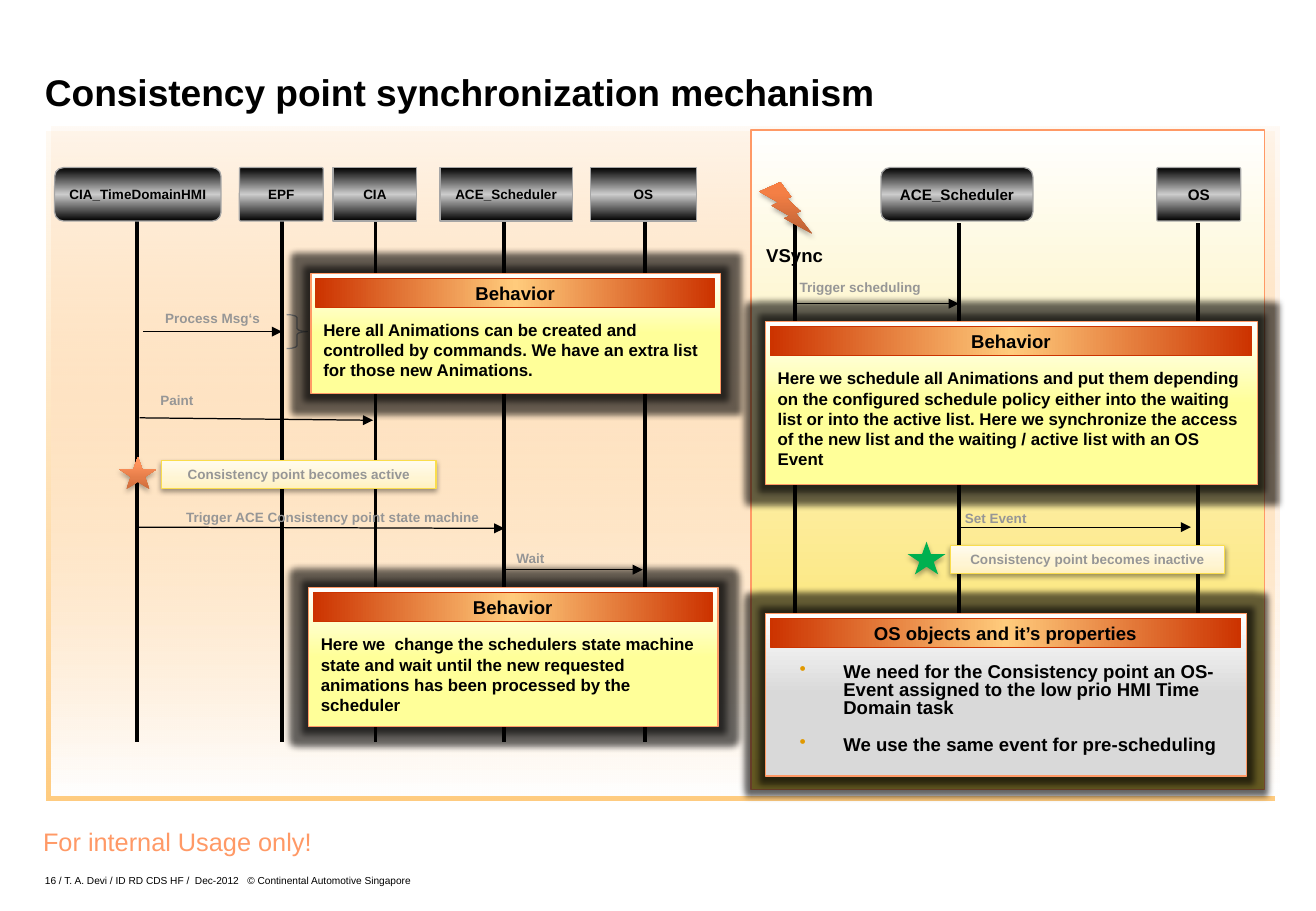
"""Build the slide on the consistency point synchronization mechanism."""
from dataclasses import dataclass

from lxml.etree import SubElement
from pptx import Presentation
from pptx.dml.color import RGBColor
from pptx.enum.shapes import MSO_CONNECTOR, MSO_SHAPE
from pptx.enum.text import MSO_ANCHOR, PP_ALIGN
from pptx.oxml import parse_xml
from pptx.oxml.ns import nsdecls, qn
from pptx.util import Emu, Pt

PX = 9144


@dataclass(frozen=True)
class Theme:
    font: str = "Arial"
    black: str = "000000"
    gray: str = "969696"
    orange: str = "FF9966"
    bullet: str = "E19900"
    green: str = "00B050"
    head_line: str = "A6A6A6"
    note_line: str = "FADD4D"
    bar_line: str = "CC3300"
    backdrop: tuple = ((0, "FFCC99", 10), (100, "FFFFFF", 100))
    panel: tuple = ((0, "FFFFFF", 100), (100, "FBDF53", 100))
    head: tuple = ((0, "000000", 100), (50, "CCCCCC", 100), (100, "000000", 100))
    note: tuple = ((0, "FFF1C1", 100), (35, "FFF5D3", 100), (100, "FFFBEE", 100))
    star: tuple = ((0, "CF6C3B", 100), (80, "FF925B", 100), (100, "FF935D", 100))
    bolt: tuple = ((0, "BC6235", 100), (80, "F47F45", 100), (100, "F97E42", 100))
    yellow_box: tuple = ((0, "FFFFFF", 100), (50, "FFFF99", 100))
    gray_box: tuple = ((0, "FFFFFF", 100), (50, "D9D9D9", 100))
    bar: tuple = ((0, "CC3300", 100), (50, "FFCB7C", 100), (100, "CC3300", 100))
    backdrop_shadow: tuple = ("FF9900", 50, 0, 4.2, 135)
    icon_shadow: tuple = ("000000", 35, 3.1, 1.8, 90)
    note_shadow: tuple = ("000000", 38, 3.1, 1.6, 90)
    title_size: float = 22
    usage_size: float = 15
    heading_size: float = 11
    body_size: float = 10
    head_size: float = 9
    label_size: float = 8
    footer_size: float = 6


theme = Theme()
presentation = Presentation()
presentation.slide_width, presentation.slide_height = Emu(1083 * PX), Emu(750 * PX)
slide = presentation.slides.add_slide(presentation.slide_layouts[6])


def add_box(kind, box, fill=None, angle=90, line=None, shadow=None, glow=False, corner=None):
    shape = slide.shapes.add_shape(kind, *[Emu(length * PX) for length in box])
    shape.shadow.inherit = False
    properties = shape.element.spPr
    if corner is not None:
        shape.adjustments[0] = corner
    if isinstance(fill, str):
        shape.fill.solid()
        shape.fill.fore_color.rgb = RGBColor.from_string(fill)
    else:
        shape.fill.background()
    if isinstance(fill, tuple):
        stops = "".join(
            f'<a:gs pos="{place * 1000}"><a:srgbClr val="{color}">'
            f'<a:alpha val="{alpha * 1000}"/></a:srgbClr></a:gs>'
            for place, color, alpha in fill)
        gradient = parse_xml(
            f'<a:gradFill {nsdecls("a")} rotWithShape="1"><a:gsLst>{stops}</a:gsLst>'
            f'<a:lin ang="{angle * 60000}" scaled="0"/></a:gradFill>')
        properties.replace(properties.find(qn("a:noFill")), gradient)
    if line:
        shape.line.color.rgb = RGBColor.from_string(line)
        shape.line.width = Pt(0.75)
    else:
        shape.line.fill.background()
    effects = properties.find(qn("a:effectLst"))
    if shadow:
        color, alpha, blur, distance, direction = shadow
        effects.append(parse_xml(
            f'<a:outerShdw {nsdecls("a")} blurRad="{Pt(blur)}" dist="{Pt(distance)}" '
            f'dir="{direction * 60000}" algn="ctr" rotWithShape="0"><a:srgbClr val="{color}">'
            f'<a:alpha val="{alpha * 1000}"/></a:srgbClr></a:outerShdw>'))
    if glow:
        effects.append(parse_xml(
            f'<a:glow {nsdecls("a")} rad="{Pt(8)}"><a:srgbClr val="{theme.black}">'
            f'<a:alpha val="60000"/></a:srgbClr></a:glow>'))
    return shape


def write_text(text, box=None, shape=None, size=theme.label_size, color=theme.black, bold=True,
               align=PP_ALIGN.LEFT, anchor=MSO_ANCHOR.TOP, inset=(9, 5), wrap=True,
               spacing=None, bullet=False):
    if shape is None:
        shape = slide.shapes.add_textbox(*[Emu(length * PX) for length in box])
    frame = shape.text_frame
    frame.word_wrap = wrap
    frame.vertical_anchor = anchor
    frame.margin_left = frame.margin_right = Emu(inset[0] * PX)
    frame.margin_top = frame.margin_bottom = Emu(inset[1] * PX)
    for index, content in enumerate(text.split("\n")):
        paragraph = frame.add_paragraph() if index else frame.paragraphs[0]
        if bullet:
            properties = paragraph._p.get_or_add_pPr()
            properties.set("marL", str(54 * PX))
            properties.set("indent", str(-36 * PX))
            SubElement(SubElement(properties, qn("a:buClr")), qn("a:srgbClr"), val=theme.bullet)
            SubElement(properties, qn("a:buChar"), char="•")
        paragraph.alignment = align
        if spacing:
            paragraph.line_spacing = spacing
        if index:
            paragraph.space_before = Pt(11.5)
        run = paragraph.add_run()
        run.text = content
        run.font.name = theme.font
        run.font.size = Pt(size)
        run.font.bold = bold
        run.font.color.rgb = RGBColor.from_string(color)


add_box(MSO_SHAPE.RECTANGLE, (42, 104, 1011, 551), theme.backdrop, shadow=theme.backdrop_shadow)
write_text("For internal Usage only!", (25, 675, 242, 35), size=theme.usage_size,
           color=theme.orange, bold=False, align=PP_ALIGN.CENTER, wrap=False)
write_text("Consistency point synchronization mechanism", (37, 25, 1010, 69),
           size=theme.title_size, anchor=MSO_ANCHOR.BOTTOM, inset=(0, 0), spacing=Pt(24.8))
add_box(MSO_SHAPE.RECTANGLE, (618, 107, 423, 543), theme.panel, line=theme.orange)

lifelines = [(x, 182, x, 611, 2.25) for x in (113, 232, 309, 415, 531)]
lifelines += [(x, 184, x, 612, 2.25) for x in (654, 789, 986)]
messages = [
    (118, 273, 232, 273, 0.75), (115, 344, 307, 346, 0.75), (114, 434, 415, 435, 0.75),
    (416, 469, 529, 469, 0.75), (654, 250, 789, 250, 0.75), (790, 434, 980, 434, 0.75),
]
for *ends, width in lifelines + messages:
    connector = slide.shapes.add_connector(
        MSO_CONNECTOR.STRAIGHT, *[Emu(length * PX) for length in ends])
    connector.line.color.rgb = RGBColor.from_string(theme.black)
    connector.line.width = Pt(width)
    if width < 1:
        SubElement(connector.line._get_or_add_ln(), qn("a:tailEnd"), type="triangle")
    SubElement(connector.element.spPr, qn("a:effectLst"))

heads = [
    ("CIA_TimeDomainHMI", 45, 137, 0.167, theme.label_size),
    ("EPF", 197, 69, 0.025, theme.label_size),
    ("CIA", 274, 69, 0, theme.label_size),
    ("ACE_Scheduler", 362, 109, 0, theme.label_size),
    ("OS", 486, 87, 0, theme.label_size),
    ("ACE_Scheduler", 725, 125, 0.167, theme.head_size),
    ("OS", 952, 69, 0.025, theme.head_size),
]
for name, left, width, corner, size in heads:
    head = add_box(MSO_SHAPE.ROUNDED_RECTANGLE, (left, 138, width, 44), theme.head,
                   line=theme.head_line, corner=corner)
    write_text(name, shape=head, size=size, align=PP_ALIGN.CENTER,
               anchor=MSO_ANCHOR.MIDDLE, wrap=False)

labels = [
    ("Process Msg‘s", (125, 250, 100, 23), PP_ALIGN.CENTER),
    ("Paint", (123, 318, 131, 23), PP_ALIGN.LEFT),
    ("Trigger ACE Consistency point state machine", (119, 414, 310, 23), PP_ALIGN.CENTER),
    ("Wait", (416, 448, 131, 23), PP_ALIGN.LEFT),
    ("Trigger scheduling", (646, 225, 124, 23), PP_ALIGN.CENTER),
    ("Set Event", (785, 415, 72, 23), PP_ALIGN.LEFT),
]
for label, box, align in labels:
    write_text(label, box, color=theme.gray, align=align)
write_text("VSync", (621, 196, 66, 28), size=theme.heading_size,
           align=PP_ALIGN.CENTER, wrap=False)

add_box(MSO_SHAPE.RIGHT_BRACE, (236, 259, 17, 28), line=theme.gray, corner=0.145)
add_box(MSO_SHAPE.LIGHTNING_BOLT, (625, 150, 44, 43), theme.bolt, 270, shadow=theme.icon_shadow)
for state, left, top, star_fill in (("active", 98, 376, theme.star),
                                    ("inactive", 747, 446, theme.green)):
    add_box(MSO_SHAPE.STAR_5_POINT, (left, top, 31, 27), star_fill, 270, shadow=theme.icon_shadow)
    note = add_box(MSO_SHAPE.RECTANGLE, (left + 35, top + 3, 226, 23), theme.note, 270,
                   line=theme.note_line, shadow=theme.note_shadow)
    write_text(f"Consistency point becomes {state}", shape=note, color=theme.gray,
               align=PP_ALIGN.CENTER)

behaviors = [
    ("Behavior", (256, 225, 337, 99), 33,
     "Here all Animations can be created and controlled by commands. "
     "We have an extra list for those new Animations."),
    ("Behavior", (630, 265, 405, 134), 33,
     "Here we schedule all Animations and put them depending on the configured schedule "
     "policy either into the waiting list or into the active list. Here we synchronize the "
     "access of the new list and the waiting / active list with an OS Event"),
    ("Behavior", (254, 484, 337, 114), 33,
     "Here we  change the schedulers state machine state and wait until the new requested "
     "animations has been processed by the scheduler"),
    ("OS objects and it’s properties", (630, 505, 396, 134), 37,
     "We need for the Consistency point an OS-Event assigned to the low prio HMI Time "
     "Domain task\nWe use the same event for pre-scheduling"),
]
for heading, (left, top, width, height), offset, body in behaviors:
    bulleted = "\n" in body
    add_box(MSO_SHAPE.RECTANGLE, (left, top, width, height),
            theme.gray_box if bulleted else theme.yellow_box, line=theme.orange, glow=True)
    write_text(body, (left + 1, top + offset, width - 2, height - offset - 8),
               size=theme.heading_size if bulleted else theme.body_size,
               spacing=0.8 if bulleted else None, bullet=bulleted)
    bar = add_box(MSO_SHAPE.RECTANGLE, (left + 4, top + 4, width - 9, 24), theme.bar, 0,
                  line=theme.bar_line)
    write_text(heading, shape=bar, size=theme.heading_size, align=PP_ALIGN.CENTER,
               anchor=MSO_ANCHOR.MIDDLE, inset=(0, 0))

write_text("16 / T. A. Devi / ID RD CDS HF /  Dec-2012   © Continental Automotive Singapore",
           (37, 714, 343, 16), size=theme.footer_size, bold=False,
           anchor=MSO_ANCHOR.BOTTOM, inset=(0, 0), spacing=Pt(5.5))

presentation.save("out.pptx")
